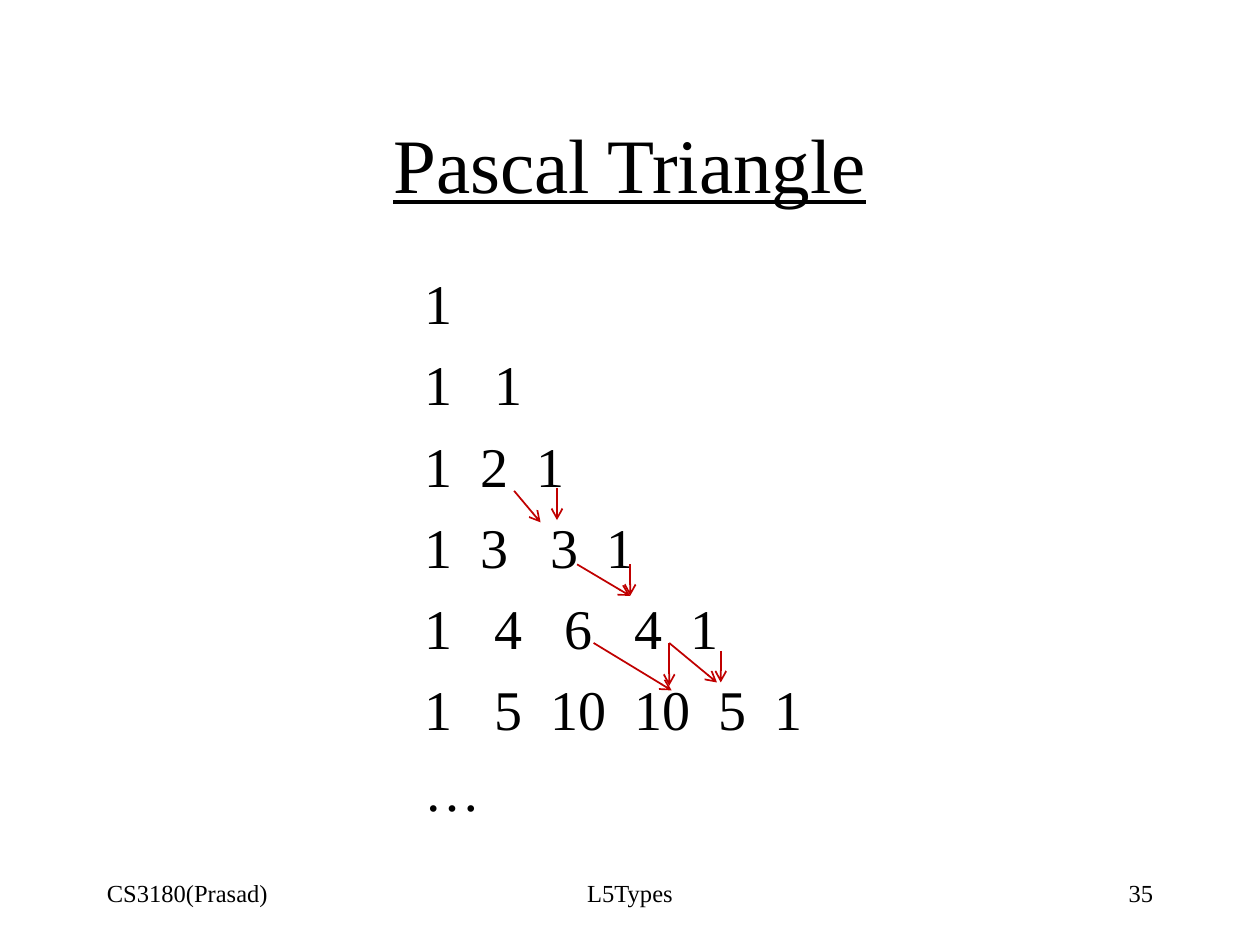
from dataclasses import dataclass

from lxml import etree
from pptx import Presentation
from pptx.dml.color import RGBColor
from pptx.enum.shapes import MSO_CONNECTOR
from pptx.enum.text import MSO_ANCHOR, PP_ALIGN
from pptx.oxml.ns import qn
from pptx.util import Pt

LEFT, CENTER, RIGHT = PP_ALIGN.LEFT, PP_ALIGN.CENTER, PP_ALIGN.RIGHT
TOP, MIDDLE = MSO_ANCHOR.TOP, MSO_ANCHOR.MIDDLE
STRAIGHT = MSO_CONNECTOR.STRAIGHT


@dataclass(frozen=True)
class Theme:
    font: str = "Times New Roman"
    text: RGBColor = RGBColor(0, 0, 0)
    arrow: RGBColor = RGBColor(0xC0, 0, 0)
    title_size: int = 44
    body_size: int = 32
    footer_size: int = 14
    row_gap: int = 8


THEME = Theme()

# Each row: its entries, and the distance of each later entry from the first
ROWS = [
    (["1"], []),
    (["1", "1"], [40]),
    (["1", "2", "1"], [32, 64]),
    (["1", "3", "3", "1"], [32, 72, 104]),
    (["1", "4", "6", "4", "1"], [40, 80, 120, 152]),
    (["1", "5", "10", "10", "5", "1"], [40, 72, 120, 168, 200]),
    (["…"], []),
]

# Start and end of each arrow, relative to the triangle box
ARROWS = [
    (176.4, 222, 176.4, 240),
    (103.7, 217.4, 148.3, 244.5),
    (146.9, 217.4, 146.9, 241.9),
    (146.9, 217.4, 174.2, 240),
    (58.3, 130.5, 73.4, 148.5),
    (82.8, 128.9, 82.8, 147.2),
    (94.3, 172.5, 124.6, 190.5),
    (124.6, 172.5, 124.6, 190.5),
]


def add_text_frame(page, box, anchor):
    frame = page.shapes.add_textbox(*map(Pt, box)).text_frame
    frame.word_wrap = True
    frame.vertical_anchor = anchor
    return frame


def write(para, text, size, align=LEFT, **extra):
    para.alignment = align
    span = para.add_run()
    span.text = text
    formats = {"name": THEME.font, "size": Pt(size), **extra}
    for name, value in formats.items():
        setattr(span.font, name, value)
    span.font.color.rgb = THEME.text


def add_title(page, box):
    frame = add_text_frame(page, box, MIDDLE)
    write(frame.paragraphs[0], "Pascal Triangle", THEME.title_size, CENTER, underline=True)


def set_tab_stops(para, stops):
    tab_list = etree.SubElement(para._p.get_or_add_pPr(), qn("a:tabLst"))
    for stop in stops:
        etree.SubElement(tab_list, qn("a:tab"), pos=str(Pt(stop)), algn="l")


def add_arrow(page, start_x, start_y, end_x, end_y):
    arrow = page.shapes.add_connector(STRAIGHT, *map(Pt, (start_x, start_y, end_x, end_y)))
    arrow.line.color.rgb = THEME.arrow
    arrow.line.width = Pt(1)
    etree.SubElement(arrow.line._get_or_add_ln(), qn("a:tailEnd"), type="arrow")
    etree.SubElement(arrow._element.spPr, qn("a:effectLst"))


def add_triangle(page, box):
    left, top = box[:2]
    frame = add_text_frame(page, box, TOP)
    for index, (entries, stops) in enumerate(ROWS):
        para = frame.add_paragraph() if index else frame.paragraphs[0]
        para.space_before = Pt(THEME.row_gap if index else 0)
        if stops:
            set_tab_stops(para, stops)
        write(para, "\t".join(entries), THEME.body_size)

    # Arrows from the entries of one row to their sums in the next
    for start_x, start_y, end_x, end_y in ARROWS:
        add_arrow(page, left + start_x, top + start_y, left + end_x, top + end_y)


def add_footer(page, box):
    left, top, width, height = box
    side, middle = 150, 228
    parts = [
        ("CS3180(Prasad)", left, side, LEFT),
        ("L5Types", left + (width - middle) / 2, middle, CENTER),
        ("35", left + width - side, side, RIGHT),
    ]
    for text, part_left, part_width, align in parts:
        frame = add_text_frame(page, (part_left, top, part_width, height), MIDDLE)
        write(frame.paragraphs[0], text, THEME.footer_size, align)


def main():
    deck = Presentation()
    deck.slide_width, deck.slide_height = Pt(720), Pt(540)
    page = deck.slides.add_slide(deck.slide_layouts[6])
    add_title(page, (54, 48, 612, 90))
    add_triangle(page, (235.5, 150, 258, 324))
    add_footer(page, (54, 492, 612, 36))
    deck.save("out.pptx")


if __name__ == "__main__":
    main()
